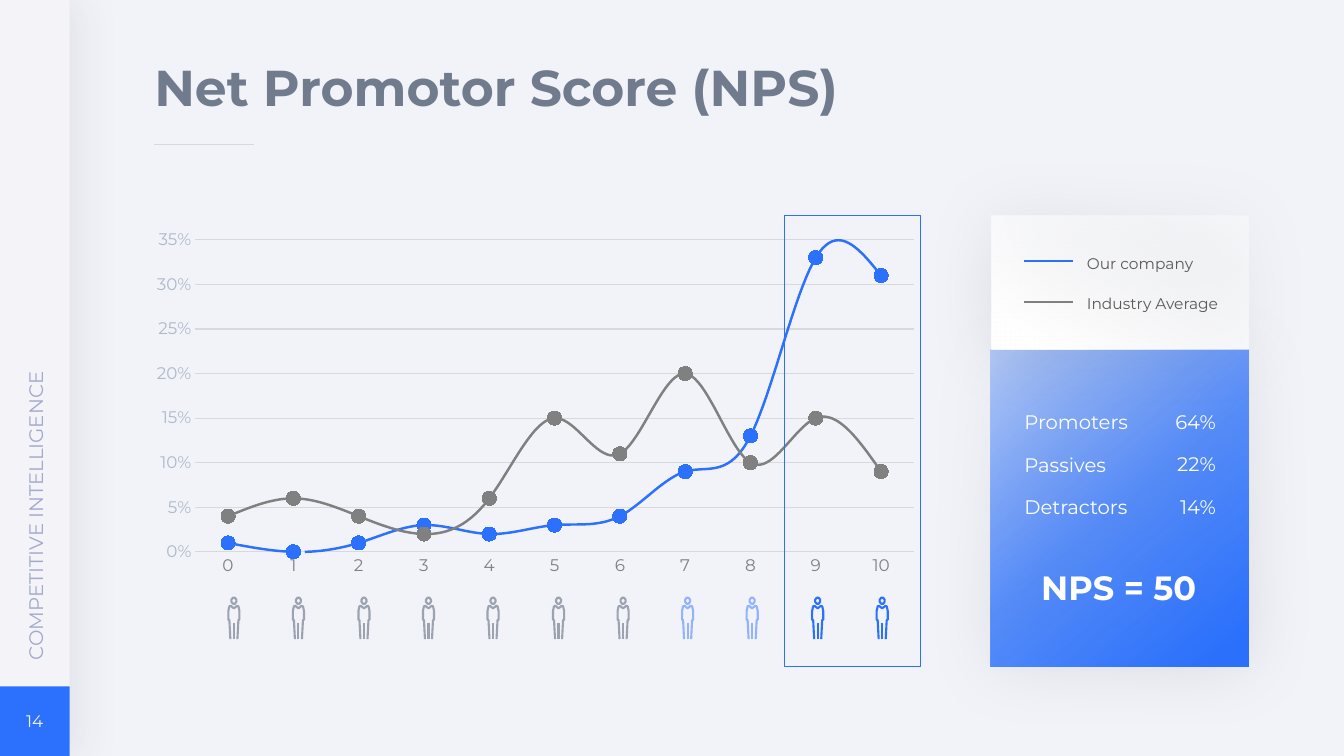
"""Build the Net Promotor Score slide."""
from dataclasses import dataclass

from pptx import Presentation
from pptx.chart.data import CategoryChartData
from pptx.dml.color import RGBColor
from pptx.enum.chart import XL_CHART_TYPE, XL_MARKER_STYLE, XL_TICK_MARK
from pptx.enum.shapes import MSO_CONNECTOR, MSO_SHAPE
from pptx.enum.text import MSO_ANCHOR, PP_ALIGN
from pptx.oxml import parse_xml
from pptx.oxml.ns import nsdecls, qn
from pptx.oxml.xmlchemy import OxmlElement
from pptx.shapes.autoshape import Shape
from pptx.slide import Slide
from pptx.util import Pt

PX = 9144
HALF_PX = PX // 2
FONT = "Montserrat"
LINE_MARKERS, CIRCLE = XL_CHART_TYPE.LINE_MARKERS, XL_MARKER_STYLE.CIRCLE
NO_TICK, STRAIGHT = XL_TICK_MARK.NONE, MSO_CONNECTOR.STRAIGHT
RECTANGLE = MSO_SHAPE.RECTANGLE
LEFT, CENTER, RIGHT = PP_ALIGN.LEFT, PP_ALIGN.CENTER, PP_ALIGN.RIGHT
TOP, MIDDLE = MSO_ANCHOR.TOP, MSO_ANCHOR.MIDDLE

PAPER = RGBColor(0xF2, 0xF3, 0xF8)
SIDEBAR = RGBColor(0xF3, 0xF3, 0xF8)
BLUE = RGBColor(0x2B, 0x71, 0xFD)
PALE_BLUE = RGBColor(0x92, 0xB3, 0xFE)
GRAY = RGBColor(0x80, 0x80, 0x80)
PERSON_GRAY = RGBColor(0x9B, 0xA3, 0xB1)
RULE_GRAY = RGBColor(0xD9, 0xD9, 0xD9)
AXIS_GRAY = RGBColor(0xAD, 0xB9, 0xCA)
LEGEND_GRAY = RGBColor(0x59, 0x59, 0x59)
TITLE_GRAY = RGBColor(0x70, 0x7C, 0x8D)
LILAC = RGBColor(0xA2, 0xA9, 0xCD)
WHITE = RGBColor(0xFF, 0xFF, 0xFF)
BLACK = RGBColor(0x00, 0x00, 0x00)
NAVY = RGBColor(0x2B, 0x31, 0x50)

SCORES = [str(score) for score in range(11)]
PERSON_COLORS = [PERSON_GRAY] * 7 + [PALE_BLUE] * 2 + [BLUE] * 2
LEFT_BODY = [(-7, 82), (-9, 44), (-11, 44), (-11, 26), (-9, 17), (-6, 16), (-4, 18)]
BODY = LEFT_BODY + [(0, 21)] + [(-x, y) for x, y in reversed(LEFT_BODY)]
HEAD = [(-2, 0), (2, 0), (5, 4), (5, 8), (2, 12), (-2, 12), (-5, 8), (-5, 4)]
LEG_GAP = [(0, 82), (0, 51)]


@dataclass
class Box:
    """A rectangle in px."""
    left: int
    top: int
    width: int
    height: int

    def emu(self) -> list[int]:
        """Give the four lengths in EMU."""
        return [n * PX for n in (self.left, self.top, self.width, self.height)]


@dataclass
class Label:
    """A piece of text and its format."""
    text: str
    box: Box
    size: int
    color: RGBColor
    align: PP_ALIGN = LEFT
    anchor: MSO_ANCHOR = TOP
    bold: bool = False
    rotation: int = 0
    spacing: float = 1.0


@dataclass
class Curve:
    """One line of the chart with its legend entry."""
    name: str
    values: list[float]
    color: RGBColor
    legend_y: int
    name_top: int


@dataclass
class Segment:
    """A group of respondents and its share."""
    name: str
    share: str
    top: int
    share_top: int


CURVES = [
    Curve("Our company", [.01, 0, .01, .03, .02, .03, .04, .09, .13, .33, .31], BLUE, 259, 247),
    Curve("Industry Average", [.04, .06, .04, .02, .06, .15, .11, .2, .1, .15, .09], GRAY, 300, 287),
]
SEGMENTS = [
    Segment("Promoters", "64%", 402, 402),
    Segment("Passives", "22%", 444, 443),
    Segment("Detractors", "14%", 486, 486),
]
LABELS = [
    Label("14", Box(10, 699, 49, 33), 12, PAPER, CENTER, MIDDLE),
    Label("COMPETITIVE INTELLIGENCE", Box(-155, 445, 380, 41), 14, LILAC, LEFT, MIDDLE, rotation=270),
    Label("Net Promotor Score (NPS)", Box(153, 58, 978, 83), 36, TITLE_GRAY, bold=True, spacing=.9),
    Label("NPS = 50", Box(982, 543, 255, 83), 24, WHITE, CENTER, MIDDLE, True, spacing=.9),
]


def apply(target: object, values: dict[str, object]) -> None:
    """Set each named attribute on the target."""
    for name, value in values.items():
        setattr(target, name, value)


def style_line(line: object, color: RGBColor, width: float) -> None:
    """Give a line its colour and width in points."""
    line.color.rgb = color
    line.width = Pt(width)


def add_block(slide: Slide, box: Box, fill: RGBColor | None = None, outline: RGBColor | None = None) -> Shape:
    """Add a flat rectangle."""
    block = slide.shapes.add_shape(RECTANGLE, *box.emu())
    block.shadow.inherit = False
    if fill is None:
        block.fill.background()
    else:
        block.fill.solid()
        block.fill.fore_color.rgb = fill
    if outline is None:
        block.line.fill.background()
    else:
        style_line(block.line, outline, .5)
    return block


def add_glow(block: Shape, color: RGBColor, alpha: int, blur: int, distance: int = 0) -> None:
    """Add a soft outer shadow."""
    effects = block._element.spPr.find(qn("a:effectLst"))
    effects.append(parse_xml(
        f'<a:outerShdw {nsdecls("a")} blurRad="{Pt(blur)}" dist="{Pt(distance)}" dir="0" algn="ctr" '
        f'rotWithShape="0"><a:srgbClr val="{color}"><a:alpha val="{alpha * 1000}"/></a:srgbClr></a:outerShdw>'))


def add_gradient(block: Shape, color: RGBColor, stops: list[tuple[int, int]], angle: int) -> None:
    """Fill a block with one colour at varying opacity."""
    block.fill.gradient()
    block.fill.gradient_angle = 360 - angle
    stop_list = block._element.spPr.find(qn("a:gradFill")).find(qn("a:gsLst"))
    for stop in list(stop_list):
        stop_list.remove(stop)
    for position, alpha in stops:
        stop_list.append(parse_xml(
            f'<a:gs {nsdecls("a")} pos="{position * 1000}"><a:srgbClr val="{color}">'
            f'<a:alpha val="{alpha * 1000}"/></a:srgbClr></a:gs>'))


def add_line(slide: Slide, start: tuple[int, int], end: tuple[int, int], color: RGBColor, width: float) -> None:
    """Add a straight line without a shadow."""
    line = slide.shapes.add_connector(STRAIGHT, *(n * PX for n in start + end))
    style_line(line.line, color, width)
    line._element.spPr.append(OxmlElement("a:effectLst"))


def add_label(slide: Slide, label: Label) -> None:
    """Add a text box."""
    box = slide.shapes.add_textbox(*label.box.emu())
    box.rotation = label.rotation
    frame = box.text_frame
    apply(frame, {"word_wrap": True, "margin_left": 0, "margin_right": 0, "margin_top": 5 * PX,
                  "margin_bottom": 5 * PX, "vertical_anchor": label.anchor})
    paragraph = frame.paragraphs[0]
    apply(paragraph, {"text": label.text, "alignment": label.align, "line_spacing": label.spacing})
    font = paragraph.runs[0].font
    apply(font, {"name": FONT, "size": Pt(label.size), "bold": label.bold})
    font.color.rgb = label.color


def add_person(slide: Slide, center: int, top: int, color: RGBColor) -> None:
    """Draw a standing person in outline."""
    builder = slide.shapes.build_freeform(center * PX, top * PX)
    for part in (HEAD, BODY, LEG_GAP):
        points = [(center * PX + x * HALF_PX, top * PX + y * HALF_PX) for x, y in part]
        builder.move_to(*points[0])
        builder.add_line_segments(points[1:], close=part is HEAD)
    person = builder.convert_to_shape()
    person.shadow.inherit = False
    person.fill.background()
    style_line(person.line, color, 1.5)


def add_score_chart(slide: Slide) -> None:
    """Add the chart of answers by score."""
    data = CategoryChartData(number_format="0%")
    data.categories = SCORES
    for curve in CURVES:
        data.add_series(curve.name, curve.values)
    chart = slide.shapes.add_chart(LINE_MARKERS, *Box(139, 220, 783, 360).emu(), data).chart
    apply(chart, {"has_legend": False, "has_title": False})
    for axis, color in ((chart.category_axis, GRAY), (chart.value_axis, AXIS_GRAY)):
        apply(axis, {"major_tick_mark": NO_TICK, "minor_tick_mark": NO_TICK})
        apply(axis.tick_labels.font, {"name": FONT, "size": Pt(12)})
        axis.tick_labels.font.color.rgb = color
    style_line(chart.category_axis.format.line, RULE_GRAY, .75)
    scale = chart.value_axis
    apply(scale, {"minimum_scale": 0, "maximum_scale": .35, "major_unit": .05, "has_major_gridlines": True})
    apply(scale.tick_labels, {"number_format": "0%", "number_format_is_linked": False})
    scale.format.line.fill.background()
    style_line(scale.major_gridlines.format.line, RULE_GRAY, .75)
    for series, curve in zip(chart.plots[0].series, CURVES):
        series.smooth = True
        style_line(series.format.line, curve.color, 1.75)
        apply(series.marker, {"style": CIRCLE, "size": 10})
        series.marker.format.fill.solid()
        series.marker.format.fill.fore_color.rgb = curve.color
        style_line(series.marker.format.line, curve.color, .75)
    chart.plots[0].vary_by_categories = False
    plot_area = chart._chartSpace.chart.plotArea
    for old in plot_area.findall(qn("c:layout")):
        plot_area.remove(old)
    extent = {"x": .07, "y": .05, "w": .91, "h": .86}
    places = "".join(f'<c:{side}Mode val="edge"/>' for side in "xy")
    places += "".join(f'<c:{side} val="{value}"/>' for side, value in extent.items())
    plot_area.insert(0, parse_xml(
        f'<c:layout {nsdecls("c")}><c:manualLayout><c:layoutTarget val="inner"/>{places}</c:manualLayout></c:layout>'))


def main() -> None:
    """Build and save the slide."""
    deck = Presentation()
    apply(deck, {"slide_width": 1333 * PX, "slide_height": 750 * PX})
    slide = deck.slides.add_slide(deck.slide_layouts[6])
    slide.background.fill.solid()
    slide.background.fill.fore_color.rgb = PAPER
    for box, color, stops, angle in (
            (Box(982, 347, 256, 314), BLUE, [(0, 30), (50, 76), (94, 100)], 50),
            (Box(983, 214, 255, 133), WHITE, [(22, 41), (88, 100)], 120)):
        card = add_block(slide, box)
        add_gradient(card, color, stops, angle)
        add_glow(card, BLACK, 10, 50)
    add_score_chart(slide)
    for index, color in enumerate(PERSON_COLORS):
        add_person(slide, round(232 + 64.3 * index), 593, color)
    for curve in CURVES:
        add_line(slide, (1016, curve.legend_y), (1064, curve.legend_y), curve.color, 1.5)
        add_label(slide, Label(curve.name, Box(1078, curve.name_top, 144, 29), 11, LEGEND_GRAY))
    for segment in SEGMENTS:
        add_label(slide, Label(segment.name, Box(1016, segment.top, 144, 29), 14, WHITE))
        add_label(slide, Label(segment.share, Box(1106, segment.share_top, 100, 29), 14, WHITE, RIGHT))
    add_block(slide, Box(778, 214, 135, 447), outline=BLUE)
    add_glow(add_block(slide, Box(0, 0, 69, 750), SIDEBAR), NAVY, 7, 30, 7)
    add_block(slide, Box(0, 681, 69, 69), BLUE)
    for label in LABELS:
        add_label(slide, label)
    add_line(slide, (153, 143), (252, 143), RULE_GRAY, .5)
    deck.save("out.pptx")


if __name__ == "__main__":
    main()
